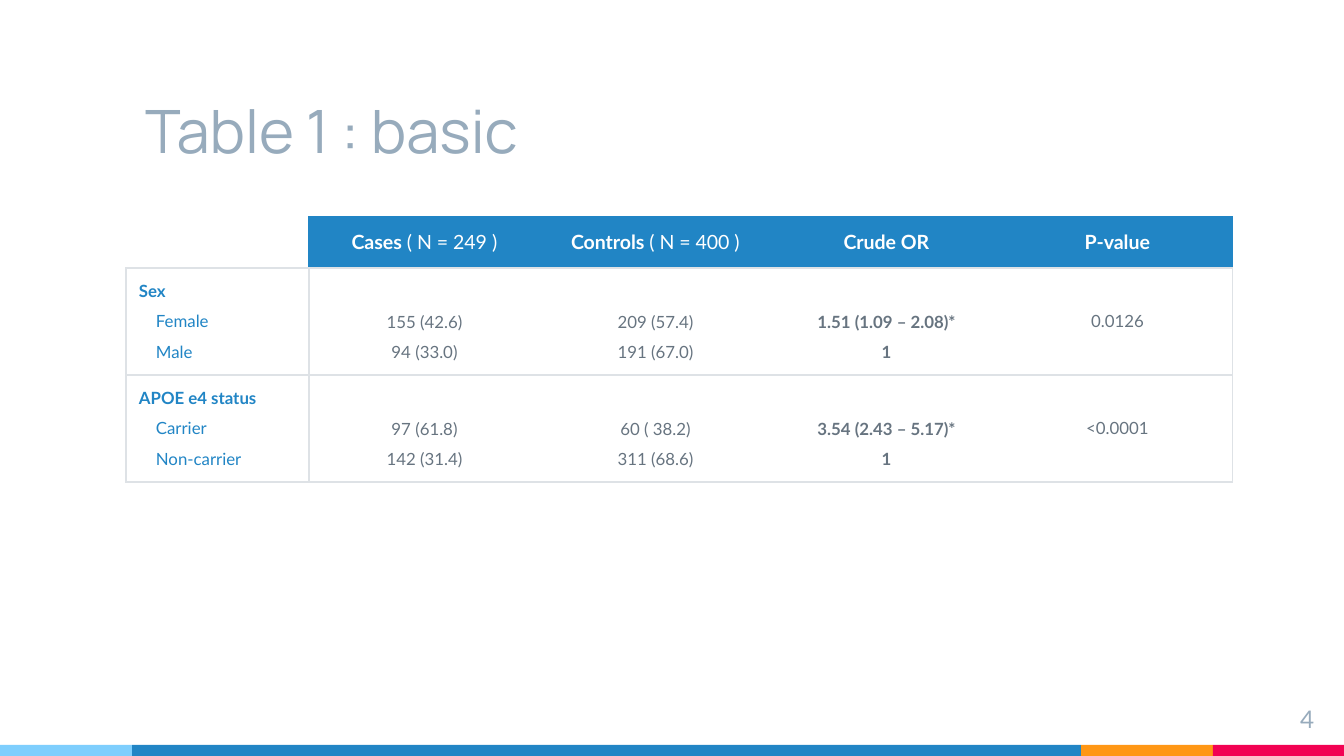
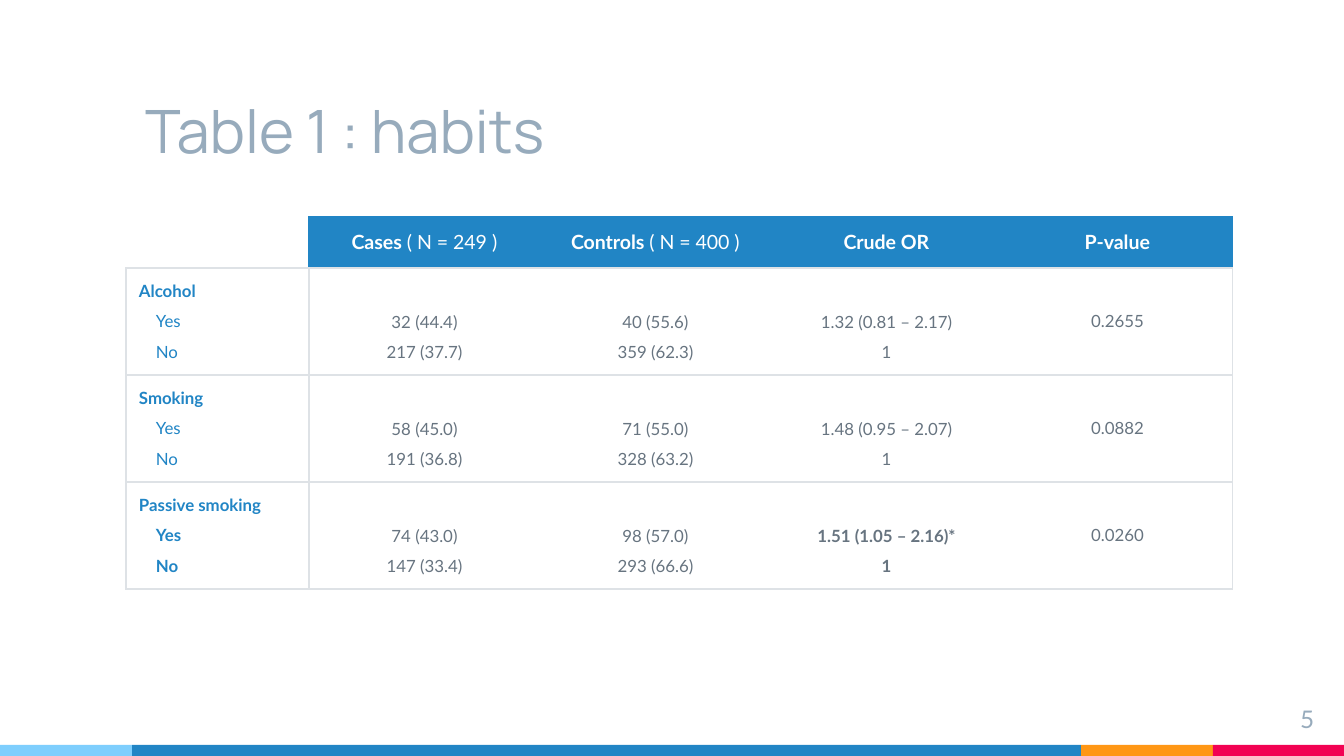
from dataclasses import dataclass
from itertools import pairwise

from lxml.etree import SubElement
from pptx import Presentation
from pptx.dml.color import RGBColor
from pptx.enum.shapes import MSO_SHAPE as Shape
from pptx.enum.text import MSO_ANCHOR as Anchor, MSO_AUTO_SIZE as AutoSize, PP_ALIGN as Align
from pptx.oxml.ns import qn
from pptx.util import Pt

EMU_PER_PX = 914400 / 134.4
SLIDE_W, SLIDE_H = 1344, 756
INSET = 13

BLUE, SKY, ORANGE, PINK = "2185C5", "7ECEFD", "FF9715", "F20253"
WHITE, MIST, SLATE, RULE = "FFFFFF", "97ABBC", "677480", "DEE2E6"

BAND_TOP = 745
BAND_EDGES = [0, 132, 1081, 1213, SLIDE_W]
BAND_COLORS = [SKY, BLUE, ORANGE, PINK]

TITLE_FONT = {"name": "Manrope", "size": Pt(32)}
NUMBER_FONT = {"name": "Lato", "size": Pt(13)}
HEADER_FONT = {"name": "Lato", "size": Pt(10.5)}
BODY_FONT = {"name": "Lato", "size": Pt(9)}

TABLE_LEFT, TABLE_TOP = 126, 217
LABEL_W, VALUE_W = 183, 231
HEADER_H, FACTOR_H = 51, 107
LEVEL_INDENT = 17
LEVEL_SPACING = 1.5

HEADINGS = [
    ("Cases", " ( N = 249 )"),
    ("Controls ", "( N = 400 )"),
    ("Crude OR", ""),
    ("P-value", ""),
]


@dataclass
class Factor:
    name: str
    levels: list
    cases: list
    controls: list
    odds: list
    p_value: str
    bold_levels: bool = False

    @property
    def significant(self):
        return self.odds[0].endswith("*")


BASIC = [
    Factor("Sex", ["Female", "Male"], ["155 (42.6)", "94 (33.0)"],
           ["209 (57.4)", "191 (67.0)"], ["1.51 (1.09 – 2.08)*", "1"], "0.0126"),
    Factor("APOE e4 status", ["Carrier", "Non-carrier"], ["97 (61.8)", "142 (31.4)"],
           ["60 ( 38.2)", "311 (68.6)"], ["3.54 (2.43 – 5.17)*", "1"], "<0.0001"),
]
HABITS = [
    Factor("Alcohol", ["Yes", "No"], ["32 (44.4)", "217 (37.7)"],
           ["40 (55.6)", "359 (62.3)"], ["1.32 (0.81 – 2.17)", "1"], "0.2655"),
    Factor("Smoking", ["Yes", "No"], ["58 (45.0)", "191 (36.8)"],
           ["71 (55.0)", "328 (63.2)"], ["1.48 (0.95 – 2.07)", "1"], "0.0882"),
    Factor("Passive smoking", ["Yes", "No"], ["74 (43.0)", "147 (33.4)"],
           ["98 (57.0)", "293 (66.6)"], ["1.51 (1.05 – 2.16)*", "1"], "0.0260",
           bold_levels=True),
]


def px(length):
    return round(length * EMU_PER_PX)


def rgb(color):
    return RGBColor.from_string(color)


def set_attributes(target, values):
    for name, value in values.items():
        setattr(target, name, value)


def set_margins(target):
    for side in ("left", "right", "top", "bottom"):
        setattr(target, f"margin_{side}", px(INSET))


def add_run(paragraph, text, font, color, bold=False):
    run = paragraph.add_run()
    run.text = text
    set_attributes(run.font, {"bold": bold, **font})
    run.font.color.rgb = rgb(color)
    return run


def add_bands(slide):
    for (left, right), color in zip(pairwise(BAND_EDGES), BAND_COLORS):
        band = slide.shapes.add_shape(Shape.RECTANGLE, px(left), px(BAND_TOP),
                                      px(right - left), px(SLIDE_H - BAND_TOP))
        band.shadow.inherit = False
        band.fill.solid()
        band.fill.fore_color.rgb = rgb(color)
        band.line.fill.background()


def set_title(slide, text):
    """Fill the title placeholder, with the pair kerning of the master turned off."""
    title = slide.shapes.title
    set_attributes(title, {"left": px(132), "top": px(52),
                           "width": px(950), "height": px(127)})
    frame = title.text_frame
    set_margins(frame)
    set_attributes(frame, {"word_wrap": True, "auto_size": AutoSize.NONE,
                           "vertical_anchor": Anchor.BOTTOM})
    paragraph = frame.paragraphs[0]
    paragraph.alignment = Align.LEFT
    run = add_run(paragraph, text, TITLE_FONT, MIST)
    run._r.get_or_add_rPr().set("kern", "0")


def add_slide_number(slide, number):
    frame = slide.shapes.add_textbox(px(1246), px(691), px(81), px(46)).text_frame
    set_margins(frame)
    frame.word_wrap = True
    paragraph = frame.paragraphs[0]
    paragraph.alignment = Align.RIGHT
    add_run(paragraph, str(number), NUMBER_FONT, MIST)


def style_cell(cell, borders, fill=None, anchor=Anchor.MIDDLE):
    """Set the insets, anchor, fill and borders; borders maps L, R, T, B to colours."""
    set_margins(cell)
    cell.vertical_anchor = anchor
    properties = cell._tc.get_or_add_tcPr()
    for side in "LRTB":
        line = SubElement(properties, qn(f"a:ln{side}"), w=str(Pt(0.75)))
        if side in borders:
            paint = SubElement(line, qn("a:solidFill"))
            SubElement(paint, qn("a:srgbClr"), val=borders[side])
        else:
            SubElement(line, qn("a:noFill"))
    if fill:
        cell.fill.solid()
        cell.fill.fore_color.rgb = rgb(fill)
    else:
        cell.fill.background()


def value_borders(column, side_color, top_color):
    """Borders of a value column: the sides are ruled only at the outer columns."""
    borders = {"T": top_color, "B": RULE}
    if column == 1:
        borders["L"] = side_color
    if column == len(HEADINGS):
        borders["R"] = side_color
    return borders


def fill_corner(cell):
    """Style the empty corner; its small text size keeps the header row low."""
    style_cell(cell, {"R": BLUE, "B": RULE})
    paragraph = cell.text_frame.paragraphs[0]
    size = round(HEADER_FONT["size"].pt * 100)
    SubElement(paragraph._p, qn("a:endParaRPr"), sz=str(size))


def fill_header(cells):
    corner, *heading_cells = cells
    fill_corner(corner)
    for column, (cell, (name, count)) in enumerate(zip(heading_cells, HEADINGS), 1):
        style_cell(cell, value_borders(column, BLUE, BLUE), fill=BLUE)
        paragraph = cell.text_frame.paragraphs[0]
        paragraph.alignment = Align.CENTER
        add_run(paragraph, name, HEADER_FONT, WHITE, bold=True)
        if count:
            add_run(paragraph, count, HEADER_FONT, WHITE)


def fill_label(cell, factor):
    style_cell(cell, dict.fromkeys("LRTB", RULE))
    frame = cell.text_frame
    add_run(frame.paragraphs[0], factor.name, BODY_FONT, BLUE, bold=True)
    for level in factor.levels:
        paragraph = frame.add_paragraph()
        paragraph.line_spacing = LEVEL_SPACING
        paragraph._p.get_or_add_pPr().set("marL", str(px(LEVEL_INDENT)))
        add_run(paragraph, level, BODY_FONT, BLUE, bold=factor.bold_levels)


def fill_values(cell, column, values, bold=False):
    """Values per level sit at the bottom, level with their labels; a single one is centred."""
    per_level = len(values) > 1
    style_cell(cell, value_borders(column, RULE, RULE),
               anchor=Anchor.BOTTOM if per_level else Anchor.MIDDLE)
    frame = cell.text_frame
    for index, value in enumerate(values):
        paragraph = frame.add_paragraph() if index else frame.paragraphs[0]
        paragraph.alignment = Align.CENTER
        if per_level:
            paragraph.line_spacing = LEVEL_SPACING
        add_run(paragraph, value, BODY_FONT, SLATE, bold)


def add_factor_table(slide, factors):
    widths = [LABEL_W] + [VALUE_W] * len(HEADINGS)
    heights = [HEADER_H] + [FACTOR_H] * len(factors)
    table = slide.shapes.add_table(len(heights), len(widths), px(TABLE_LEFT), px(TABLE_TOP),
                                   px(sum(widths)), px(sum(heights))).table
    set_attributes(table, {"first_row": False, "horz_banding": False})
    for column, width in zip(table.columns, widths):
        column.width = px(width)
    for row, height in zip(table.rows, heights):
        row.height = px(height)

    header, *factor_rows = table.rows
    fill_header(header.cells)
    for row, factor in zip(factor_rows, factors):
        label, cases, controls, odds, p_value = row.cells
        fill_label(label, factor)
        fill_values(cases, 1, factor.cases)
        fill_values(controls, 2, factor.controls)
        fill_values(odds, 3, factor.odds, bold=factor.significant)
        fill_values(p_value, 4, [factor.p_value])


def add_table_slide(deck, number, title, factors):
    slide = deck.slides.add_slide(deck.slide_layouts[5])
    add_bands(slide)
    set_title(slide, title)
    add_slide_number(slide, number)
    add_factor_table(slide, factors)


def main():
    deck = Presentation()
    set_attributes(deck, {"slide_width": px(SLIDE_W), "slide_height": px(SLIDE_H)})
    add_table_slide(deck, 4, "Table 1 : basic", BASIC)
    add_table_slide(deck, 5, "Table 1 : habits", HABITS)
    deck.save("out.pptx")


if __name__ == "__main__":
    main()
